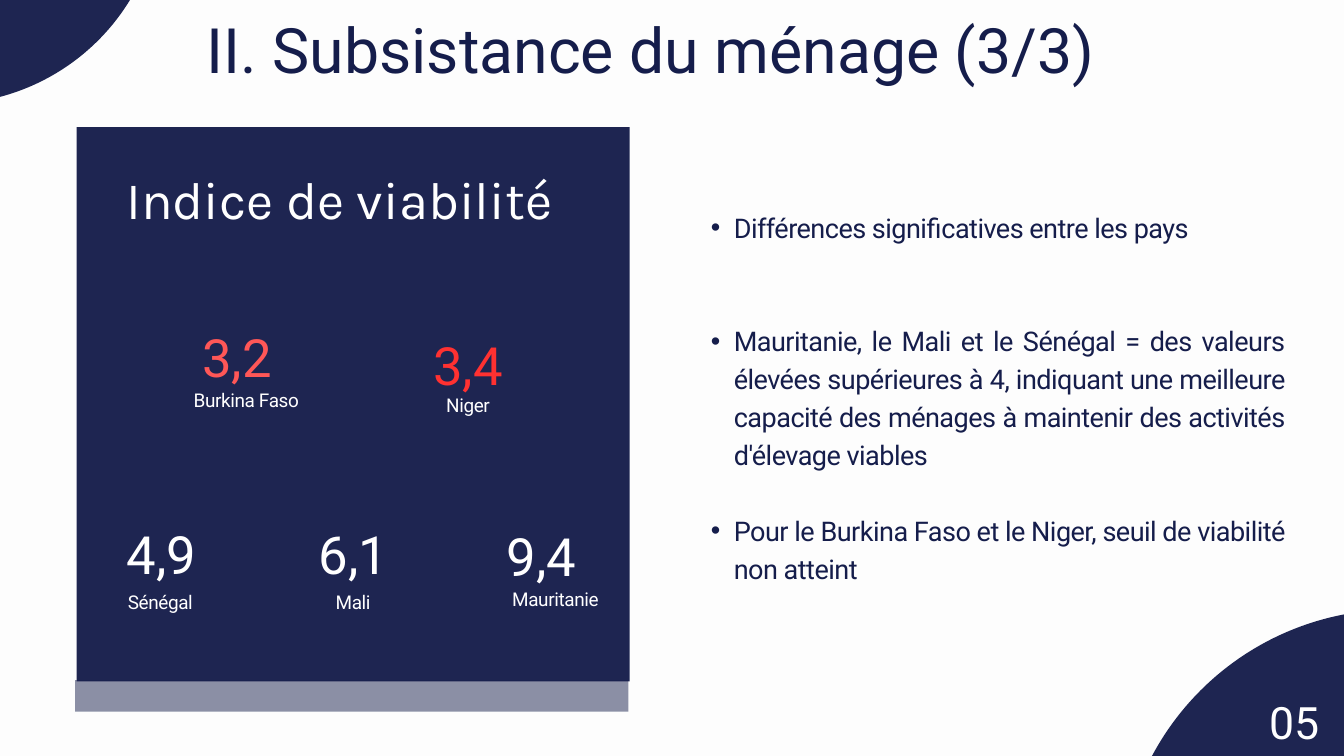
from lxml.etree import SubElement
from pptx import Presentation
from pptx.dml.color import RGBColor
from pptx.enum.shapes import MSO_SHAPE
from pptx.enum.text import MSO_ANCHOR, MSO_AUTO_SIZE, PP_ALIGN
from pptx.oxml.ns import qn
from pptx.util import Inches, Pt

NAVY, WHITE = "151D4B", "FFFFFF"


def color(value):
    return RGBColor.from_string(value)


def write(shape, box, text, size, line_spacing, ink=WHITE, font="Roboto",
          align=PP_ALIGN.CENTER, tracking=0):
    """Place a text shape and fill it, one paragraph per line of text."""
    shape.left, shape.top, shape.width, shape.height = map(Inches, box)
    frame = shape.text_frame
    frame.text = text
    frame.word_wrap = True
    frame.auto_size = MSO_AUTO_SIZE.NONE
    frame.vertical_anchor = MSO_ANCHOR.TOP
    frame.margin_left = frame.margin_right = 0
    frame.margin_top = frame.margin_bottom = 0
    for paragraph in frame.paragraphs:
        paragraph.alignment = align
        paragraph.line_spacing = Pt(line_spacing)
        paragraph.font.name = font
        paragraph.font.size = Pt(size)
        paragraph.font.color.rgb = color(ink)
        if tracking:
            for run in paragraph.runs:
                run.font.language_id = None
                run._r.get_or_add_rPr().set("spc", str(round(tracking * 100)))
    return frame


presentation = Presentation()
presentation.slide_width = Inches(20)
presentation.slide_height = Inches(11.25)
slide = presentation.slides.add_slide(presentation.slide_layouts[5])
slide.background.fill.solid()
slide.background.fill.fore_color.rgb = color("FDFDFD")

# Panel, strip below it and the two corner circles
for kind, box, opacity in [
    (MSO_SHAPE.RECTANGLE, (1.14, 1.89, 8.23, 8.25), 96),
    (MSO_SHAPE.RECTANGLE, (1.12, 10.12, 8.23, 0.47), 49),
    (MSO_SHAPE.OVAL, (16.66, 9.07, 8.23, 8.23), 96),
    (MSO_SHAPE.OVAL, (-4.07, -4.93, 6.48, 6.48), 96),
]:
    shape = slide.shapes.add_shape(kind, *map(Inches, box))
    shape.shadow.inherit = False
    shape.line.fill.background()
    shape.fill.solid()
    shape.fill.fore_color.rgb = color(NAVY)
    fill_color = shape.fill._xPr.find(".//" + qn("a:srgbClr"))
    SubElement(fill_color, qn("a:alpha"), val=str(opacity * 1000))

# Title
write(slide.shapes.title, (3.08, -0.02, 14.42, 1.25),
      "II. Subsistance du ménage (3/3)", 67, 93.8, NAVY, align=PP_ALIGN.LEFT)

# Panel heading and page number
heading = slide.shapes.add_textbox(0, 0, 0, 0)
write(heading, (1.88, 2.32, 6.95, 1.06), "Indice de viabilité", 56.4, 79,
      font="Karla", align=PP_ALIGN.LEFT)
page_number = slide.shapes.add_textbox(0, 0, 0, 0)
write(page_number, (18.64, 10.21, 1.24, 0.88), "05", 47.8, 67)

# Index of each country: value box, then label position
for value, ink, value_box, country, label_left, label_top in [
    ("3,2", "FF5757", (2.23, 4.68, 2.59, 1.06), "Burkina Faso", 2.37, 5.72),
    ("3,4", "FF3131", (5.67, 4.79, 2.59, 1.06), "Niger", 5.67, 5.8),
    ("4,9", WHITE, (1.54, 7.61, 1.72, 1.06), "Sénégal", 1.09, 8.73),
    ("6,1", WHITE, (4.5, 7.61, 1.52, 1.06), "Mali", 3.96, 8.73),
    ("9,4", WHITE, (7.28, 7.64, 1.55, 1.06), "Mauritanie", 6.97, 8.69),
]:
    value_shape = slide.shapes.add_textbox(0, 0, 0, 0)
    write(value_shape, value_box, value, 56.4, 79, ink)
    label_shape = slide.shapes.add_textbox(0, 0, 0, 0)
    write(label_shape, (label_left, label_top, 2.59, 0.38), country,
          20.3, 28.4, tracking=-0.4)

# Findings, with the gap above each counted in lines
findings = [
    ("Différences significatives entre les pays", 0),
    ("Mauritanie, le Mali et le Sénégal = des valeurs élevées supérieures à 4, "
     "indiquant une meilleure capacité des ménages à maintenir des activités "
     "d'élevage viables", 2),
    ("Pour le Burkina Faso et le Niger, seuil de viabilité non atteint", 1),
]
findings_shape = slide.shapes.add_textbox(0, 0, 0, 0)
frame = write(findings_shape, (10.24, 3.06, 8.88, 6.17),
              "\n".join(text for text, gap in findings), 29, 40.6, NAVY,
              align=PP_ALIGN.JUSTIFY, tracking=-0.6)
for paragraph, (text, gap) in zip(frame.paragraphs, findings):
    paragraph.space_before = Pt(gap * 40.6)
    properties = paragraph._p.get_or_add_pPr()
    properties.set("marL", str(Inches(0.68)))
    properties.set("indent", str(Inches(-0.34)))
    bullet_font = SubElement(properties, qn("a:buFont"), typeface="Arial")
    bullet = SubElement(properties, qn("a:buChar"), char="•")
    # Bullets come before the default run properties
    defaults = properties.find(qn("a:defRPr"))
    defaults.addprevious(bullet_font)
    defaults.addprevious(bullet)

presentation.save("out.pptx")
